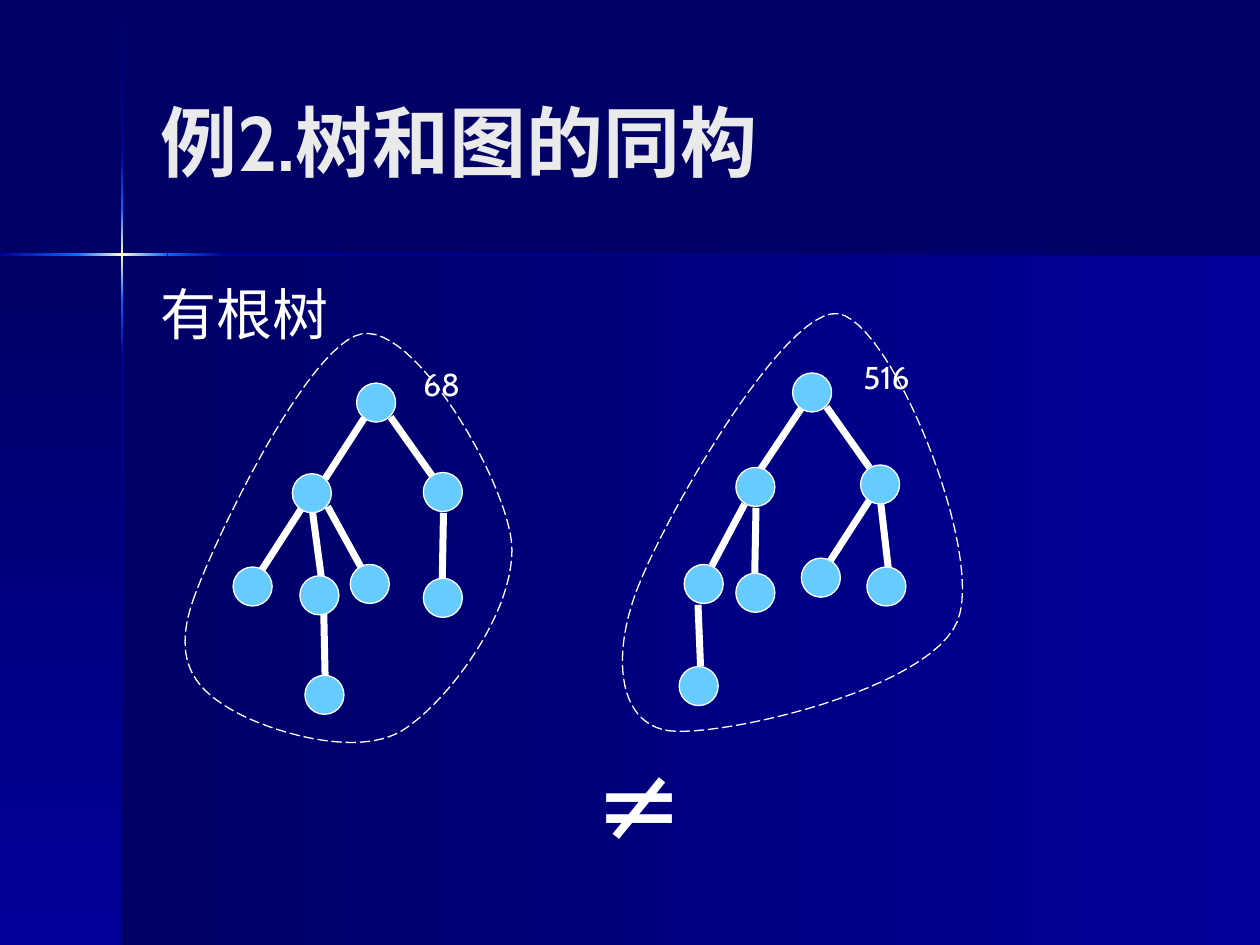
from copy import deepcopy
from typing import NamedTuple

from lxml.etree import SubElement
from pptx import Presentation
from pptx.dml.color import RGBColor
from pptx.enum.dml import MSO_LINE_DASH_STYLE as Dash
from pptx.enum.shapes import MSO_CONNECTOR, MSO_SHAPE
from pptx.enum.text import MSO_ANCHOR, MSO_AUTO_SIZE, PP_ALIGN
from pptx.oxml.ns import qn
from pptx.util import Inches, Pt

NAVY = RGBColor(0x00, 0x00, 0x66)
BLUE = RGBColor(0x00, 0x00, 0x99)
BRIGHT = RGBColor(0x00, 0x66, 0xFF)
CREAM = RGBColor(0xFF, 0xFF, 0xCC)
SKY = RGBColor(0x66, 0xCC, 0xFF)
WHITE = RGBColor(0xFF, 0xFF, 0xFF)
PALE = RGBColor(0xEA, 0xEA, 0xEA)
FONT = "Cabin"
NODE_SIZE = 0.31
CURVE_STEPS = 24
# Gradient directions, counter-clockwise degrees
DOWN, LEFTWARD = 270, 180

Point = tuple[float, float]


class Box(NamedTuple):
    left: float
    top: float
    width: float
    height: float

    def lengths(self) -> list[int]:
        return [Inches(value) for value in self]


class Band(NamedTuple):
    box: Box
    angle: int
    colors: tuple[RGBColor, ...]


class Tree(NamedTuple):
    size: str
    size_box: Box
    nodes: list[Point]  # top left corners
    edges: list[tuple[Point, Point]]
    outline: list[Point]  # start, then three points for each Bézier curve


BANDS = [
    # Panels
    Band(Box(0.97, 2.02, 9.03, 5.48), LEFTWARD, (BLUE, NAVY)),
    Band(Box(0, 2.02, 0.97, 5.48), DOWN, (NAVY, BLUE)),
    # Vertical ray
    Band(Box(0.96, 0.01, 0.02, 1.2), DOWN, (NAVY, BLUE)),
    Band(Box(0.96, 2.82, 0.02, 4.68), DOWN, (BLUE, NAVY)),
    Band(Box(0.96, 2.38, 0.02, 0.44), DOWN, (BRIGHT, BLUE)),
    Band(Box(0.96, 1.21, 0.02, 0.44), DOWN, (BLUE, BRIGHT)),
    Band(Box(0.96, 1.65, 0.02, 0.73), DOWN, (BRIGHT, CREAM, BRIGHT)),
    # Horizontal ray
    Band(Box(1.77, 2.01, 8.23, 0.02), LEFTWARD, (NAVY, BLUE)),
    Band(Box(0, 2.01, 0.61, 0.02), LEFTWARD, (BRIGHT, BLUE)),
    Band(Box(1.33, 2.01, 0.44, 0.02), LEFTWARD, (BLUE, BRIGHT)),
    Band(Box(0.6, 2.01, 0.73, 0.02), LEFTWARD, (BRIGHT, CREAM, BRIGHT)),
]

TREES = [
    Tree(
        "68", Box(3.11, 2.85, 0.79, 0.4),
        [(2.83, 3.04), (2.32, 3.76), (3.36, 3.75), (1.85, 4.5),
         (2.38, 4.57), (2.78, 4.48), (3.36, 4.59), (2.42, 5.36)],
        [((2.89, 3.32), (2.58, 3.8)), ((3.1, 3.31), (3.44, 3.79)),
         ((2.39, 4.04), (2.08, 4.52)), ((2.48, 4.06), (2.55, 4.58)),
         ((2.6, 4.02), (2.87, 4.51)), ((3.52, 4.07), (3.51, 4.61)),
         ((2.57, 4.87), (2.58, 5.36))],
        [(1.53, 4.77), (1.7, 4.28), (2.45, 2.73), (2.87, 2.65),
         (3.29, 2.57), (4, 3.78), (4.06, 4.3),
         (4.11, 4.83), (3.56, 5.57), (3.19, 5.8),
         (2.82, 6.02), (2.13, 5.8), (1.85, 5.64),
         (1.57, 5.48), (1.36, 5.27), (1.53, 4.77)],
    ),
    Tree(
        "516", Box(6.64, 2.79, 0.79, 0.4),
        [(6.29, 2.96), (5.84, 3.71), (6.83, 3.69), (5.43, 4.48),
         (5.84, 4.55), (6.36, 4.43), (6.88, 4.5), (5.39, 5.29)],
        [((6.36, 3.24), (6.04, 3.72)), ((6.56, 3.23), (6.9, 3.71)),
         ((5.91, 4), (5.65, 4.49)), ((6, 4.03), (5.99, 4.57)),
         ((6.9, 3.97), (6.59, 4.45)), ((6.99, 3.99), (7.05, 4.51)),
         ((5.54, 4.8), (5.56, 5.29))],
        [(5.08, 4.62), (4.85, 5.17), (4.89, 5.74), (5.31, 5.8),
         (5.73, 5.85), (7.37, 5.48), (7.6, 4.93),
         (7.82, 4.38), (7.07, 2.54), (6.65, 2.49),
         (6.23, 2.44), (5.3, 4.07), (5.08, 4.62)],
    ),
]


def draw_band(shapes, band: Band) -> None:
    panel = shapes.add_shape(MSO_SHAPE.RECTANGLE, *band.box.lengths())
    panel.shadow.inherit = False
    panel.line.fill.background()
    panel.fill.gradient()
    panel.fill.gradient_angle = band.angle
    stop_list = panel._element.spPr.find(qn("a:gradFill")).find(qn("a:gsLst"))
    for _ in range(len(band.colors) - len(stop_list)):
        stop_list.append(deepcopy(stop_list[-1]))
    for index, (stop, color) in enumerate(zip(panel.fill.gradient_stops, band.colors)):
        stop.position = index / (len(band.colors) - 1)
        stop.color.rgb = color


def write(frame, text: str, size: float, color: RGBColor, align: PP_ALIGN, bold: bool = False):
    frame.word_wrap = True
    frame.auto_size = MSO_AUTO_SIZE.NONE
    paragraph = frame.paragraphs[0]
    paragraph.alignment = align
    run = paragraph.add_run()
    run.text = text
    run.font.name, run.font.size, run.font.bold = FONT, Pt(size), bold
    run.font.color.rgb = color
    return paragraph


def place(shape, box: Box) -> None:
    shape.left, shape.top, shape.width, shape.height = box.lengths()


def draw_label(shapes, text: str, box: Box, size: float) -> None:
    label = shapes.add_textbox(*box.lengths())
    write(label.text_frame, text, size, WHITE, PP_ALIGN.CENTER)


def draw_edge(shapes, start: Point, end: Point) -> None:
    ends = [Inches(value) for value in start + end]
    edge = shapes.add_connector(MSO_CONNECTOR.STRAIGHT, *ends)
    edge.line.color.rgb, edge.line.width = WHITE, Pt(4)
    SubElement(edge._element.spPr, qn("a:effectLst"))


def draw_node(shapes, corner: Point) -> None:
    node = shapes.add_shape(MSO_SHAPE.OVAL, *Box(*corner, NODE_SIZE, NODE_SIZE).lengths())
    node.shadow.inherit = False
    node.fill.solid()
    node.fill.fore_color.rgb = SKY
    node.line.color.rgb, node.line.width = WHITE, Pt(0.75)


def bezier(corners: list[Point], t: float) -> Point:
    weights = ((1 - t) ** 3, 3 * t * (1 - t) ** 2, 3 * t**2 * (1 - t), t**3)
    x, y = (sum(w * value for w, value in zip(weights, axis)) for axis in zip(*corners))
    return x, y


def draw_outline(shapes, points: list[Point]) -> None:
    curve = [bezier(points[first:first + 4], step / CURVE_STEPS)
             for first in range(0, len(points) - 1, 3)
             for step in range(1, CURVE_STEPS + 1)]
    start, *rest = [(Inches(x), Inches(y)) for x, y in [points[0], *curve]]
    builder = shapes.build_freeform(*start)
    builder.add_line_segments(rest, close=True)
    outline = builder.convert_to_shape()
    outline.shadow.inherit = False
    outline.fill.background()
    outline.line.color.rgb, outline.line.width = WHITE, Pt(0.75)
    outline.line.dash_style = Dash.LONG_DASH


def main() -> None:
    deck = Presentation()
    deck.slide_width, deck.slide_height = Inches(10), Inches(7.5)
    slide = deck.slides.add_slide(deck.slide_layouts[1])
    shapes = slide.shapes
    title, subject = slide.placeholders
    slide.background.fill.solid()
    slide.background.fill.fore_color.rgb = NAVY

    # Backdrop, with the placeholders raised above it
    for band in BANDS:
        draw_band(shapes, band)
    for placeholder in (title, subject):
        shapes._spTree.append(placeholder._element)

    # Title and subject
    place(title, Box(1.17, 0.33, 8.25, 1.57))
    title.text_frame.vertical_anchor = MSO_ANCHOR.MIDDLE
    write(title.text_frame, "例2.树和图的同构", 44, PALE, PP_ALIGN.LEFT, bold=True)
    place(subject, Box(1.17, 2.17, 8.25, 0.74))
    line = write(subject.text_frame, "有根树", 32, WHITE, PP_ALIGN.LEFT)
    line.space_before = Pt(8)
    properties = line._p.get_or_add_pPr()
    properties.set("marL", str(Inches(0.38)))
    properties.set("indent", str(Inches(-0.38)))
    SubElement(properties, qn("a:buNone"))

    # Rooted trees and their sizes
    for tree in TREES:
        for start, end in tree.edges:
            draw_edge(shapes, start, end)
        for corner in tree.nodes:
            draw_node(shapes, corner)
        draw_label(shapes, tree.size, tree.size_box, 18)
        draw_outline(shapes, tree.outline)

    # Comparison
    draw_label(shapes, "≠", Box(4.29, 5.8, 1.57, 1.1), 60)
    deck.save("out.pptx")


if __name__ == "__main__":
    main()
